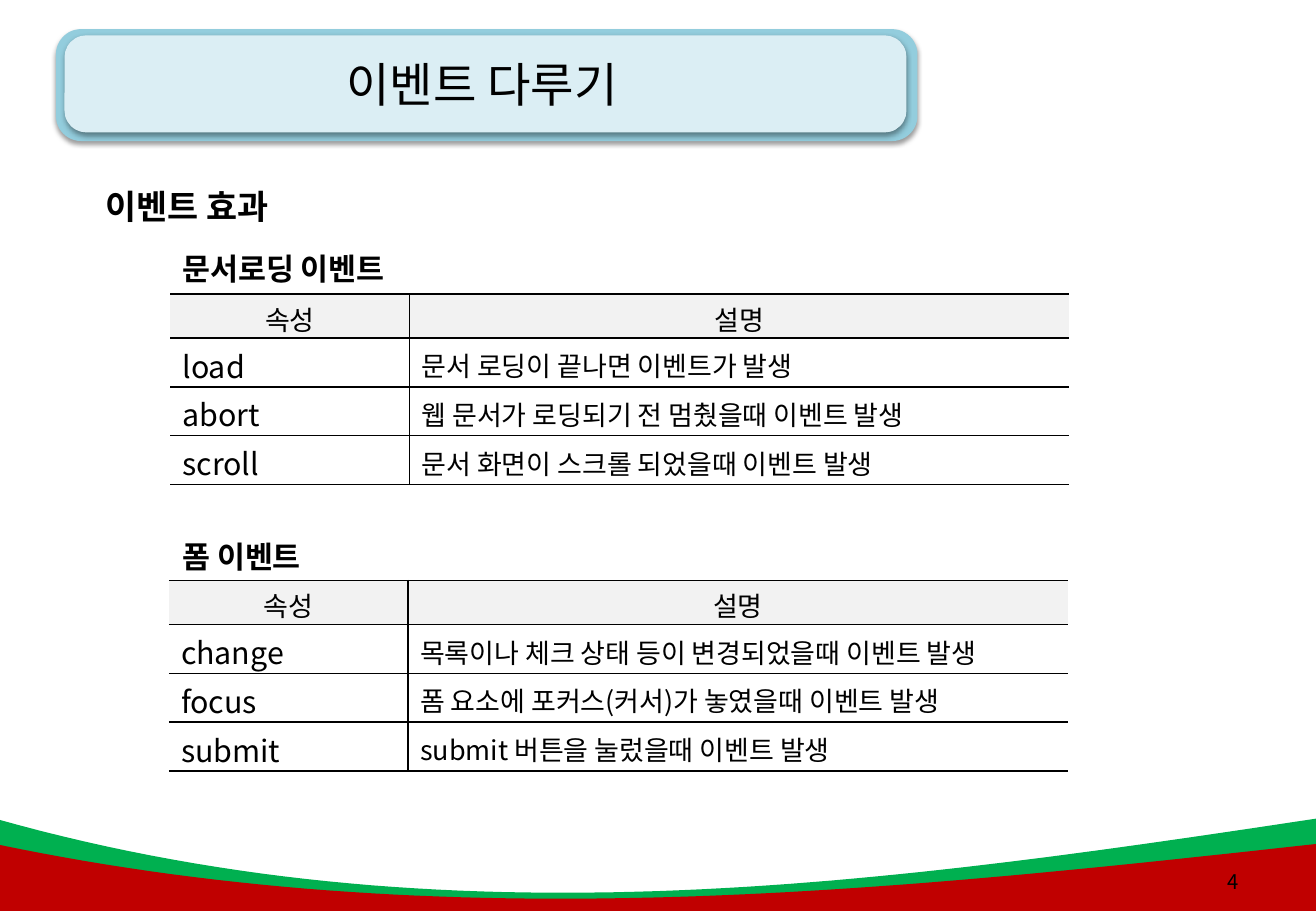
"""Build a slide with two tables of document and form events."""
from pptx import Presentation, util as u
from pptx.dml.color import RGBColor
from pptx.enum import shapes, text
from pptx.oxml import parse_xml
from pptx.oxml.ns import nsdecls, qn

FONT = "Noto Sans CJK KR"
BLACK = RGBColor(0x00, 0x00, 0x00)
GREEN = RGBColor(0x00, 0xB0, 0x50)
RED = RGBColor(0xC0, 0x00, 0x00)
BLUE = RGBColor(0x93, 0xCD, 0xDD)
PALE_BLUE = RGBColor(0xDB, 0xEE, 0xF4)
GREY = RGBColor(0xF2, 0xF2, 0xF2)

WIDTH, HEIGHT = 27.51, 19.05
LEFT, CENTER, RIGHT = text.PP_ALIGN.LEFT, text.PP_ALIGN.CENTER, text.PP_ALIGN.RIGHT
MIDDLE, TOP = text.MSO_ANCHOR.MIDDLE, text.MSO_ANCHOR.TOP

HEADER = ("속성", "설명")
TABLES = [
    ("문서로딩 이벤트", 3.56, 4.72, 6.15, [
        ("load", "문서 로딩이 끝나면 이벤트가 발생"),
        ("abort", "웹 문서가 로딩되기 전 멈췄을때 이벤트 발생"),
        ("scroll", "문서 화면이 스크롤 되었을때 이벤트 발생")]),
    ("폼 이벤트", 3.53, 10.74, 12.14, [
        ("change", "목록이나 체크 상태 등이 변경되었을때 이벤트 발생"),
        ("focus", "폼 요소에 포커스(커서)가 놓였을때 이벤트 발생"),
        ("submit", "submit 버튼을 눌렀을때 이벤트 발생")]),
]


def write(tf, words, size=16, bold=False, align=LEFT, spacing=None):
    """Put one formatted line of text into a text frame."""
    p = tf.paragraphs[0]
    p.alignment = align
    if spacing:
        p.line_spacing = spacing
    r = p.add_run()
    r.text = words
    r.font.name = FONT
    r.font.size = u.Pt(size)
    r.font.bold = bold
    r.font.color.rgb = BLACK
    latin = r.font._element.find(qn("a:latin"))
    latin.addnext(parse_xml(f'<a:ea {nsdecls("a")} typeface="{FONT}"/>'))


def curve(points, steps=60):
    """Return points along a cubic Bezier curve."""
    result = []
    for i in range(steps + 1):
        t = i / steps
        weights = ((1 - t) ** 3, 3 * t * (1 - t) ** 2, 3 * t * t * (1 - t), t ** 3)
        result.append(tuple(u.Cm(sum(w * pt[k] for w, pt in zip(weights, points)))
                            for k in (0, 1)))
    return result


class SlideBuilder:
    """Add styled elements to one slide."""

    def __init__(self, s):
        """Keep the slide to draw on."""
        self.s = s

    def paint(self, sp, color):
        """Give a shape a plain fill without line or shadow."""
        sp.shadow.inherit = False
        sp.fill.solid()
        sp.fill.fore_color.rgb = color
        sp.line.fill.background()

    def wave(self, edge, inner, color):
        """Draw a curved band down to the foot of the slide."""
        points = curve([(-0.1, edge), (9.25, inner[0]), (18.26, inner[1]), (WIDTH, edge)])
        fb = self.s.shapes.build_freeform(*points[0])
        fb.add_line_segments(points[1:] + [(u.Cm(WIDTH), u.Cm(HEIGHT)),
                                           (u.Cm(-0.1), u.Cm(HEIGHT))])
        self.paint(fb.convert_to_shape(), color)

    def panel(self, x, y, w, h, color):
        """Draw a rounded panel with a soft shadow."""
        sp = self.s.shapes.add_shape(shapes.MSO_SHAPE.ROUNDED_RECTANGLE,
                                     u.Cm(x), u.Cm(y), u.Cm(w), u.Cm(h))
        sp.adjustments[0] = 0.225
        self.paint(sp, color)
        sp._element.spPr.find(qn("a:effectLst")).append(parse_xml(
            f'<a:outerShdw {nsdecls("a")} blurRad="{u.Pt(3.1)}" dist="{u.Pt(1.6)}" '
            'dir="5400000" rotWithShape="0"><a:srgbClr val="000000">'
            '<a:alpha val="38000"/></a:srgbClr></a:outerShdw>'))

    def label(self, words, x, y, w, h, anchor=TOP, **style):
        """Add a text box."""
        tf = self.s.shapes.add_textbox(u.Cm(x), u.Cm(y), u.Cm(w), u.Cm(h)).text_frame
        tf.word_wrap = True
        tf.vertical_anchor = anchor
        write(tf, words, **style)

    def borders(self, cell, visible):
        """Set the four borders of a cell, hiding those not listed."""
        for side in "LRTB":
            fill = ('<a:solidFill><a:srgbClr val="000000"/></a:solidFill>'
                    if side in visible else "<a:noFill/>")
            cell._tc.get_or_add_tcPr().append(parse_xml(
                f'<a:ln{side} {nsdecls("a")} w="{u.Pt(1)}">{fill}</a:ln{side}>'))

    def table(self, x, y, rows):
        """Add a two-column table with a grey header."""
        heights = [0.92] + [1.02] * len(rows)
        table = self.s.shapes.add_table(len(heights), 2, u.Cm(x), u.Cm(y), u.Cm(18.79),
                                        u.Cm(sum(heights))).table
        table.first_row = table.horz_banding = False
        for column, w in zip(table.columns, (5.0, 13.79)):
            column.width = u.Cm(w)
        for i, (h, row) in enumerate(zip(heights, [HEADER] + rows)):
            table.rows[i].height = u.Cm(h)
            for j, words in enumerate(row):
                cell = table.cell(i, j)
                cell.vertical_anchor = MIDDLE
                cell.margin_top, cell.margin_bottom = u.Cm(0.1), 0
                self.borders(cell, "LTB" if j else "RTB")
                if i == 0:
                    cell.fill.solid()
                    cell.fill.fore_color.rgb = GREY
                else:
                    cell.fill.background()
                write(cell.text_frame, words, size=18 if i and not j else 16,
                      align=LEFT if i else CENTER)


def main():
    """Build and save the slide."""
    prs = Presentation()
    prs.slide_width, prs.slide_height = u.Cm(WIDTH), u.Cm(HEIGHT)
    b = SlideBuilder(prs.slides.add_slide(prs.slide_layouts[6]))
    b.wave(17.12, (19.76, 18.52), GREEN)
    b.panel(1.17, 0.61, 18.01, 2.34, BLUE)
    b.panel(1.35, 0.74, 17.6, 2.03, PALE_BLUE)
    b.wave(17.65, (19.61, 18.67), RED)
    b.label("이벤트 다루기", 1.17, 0.56, 17.81, 2.39, anchor=MIDDLE, size=28, align=CENTER)
    b.label("4", 24.59, 17.93, 1.55, 1.02, anchor=MIDDLE, size=12, align=RIGHT)
    b.label("이벤트 효과", 1.96, 3.33, 22.81, 1.37, size=20, bold=True, spacing=1.5)
    for heading, x, heading_y, table_y, rows in TABLES:
        b.label(heading, 3.56, heading_y, 5.59, 1.27, size=18, bold=True, spacing=1.5)
        b.table(x, table_y, rows)
    prs.save("out.pptx")


if __name__ == "__main__":
    main()
